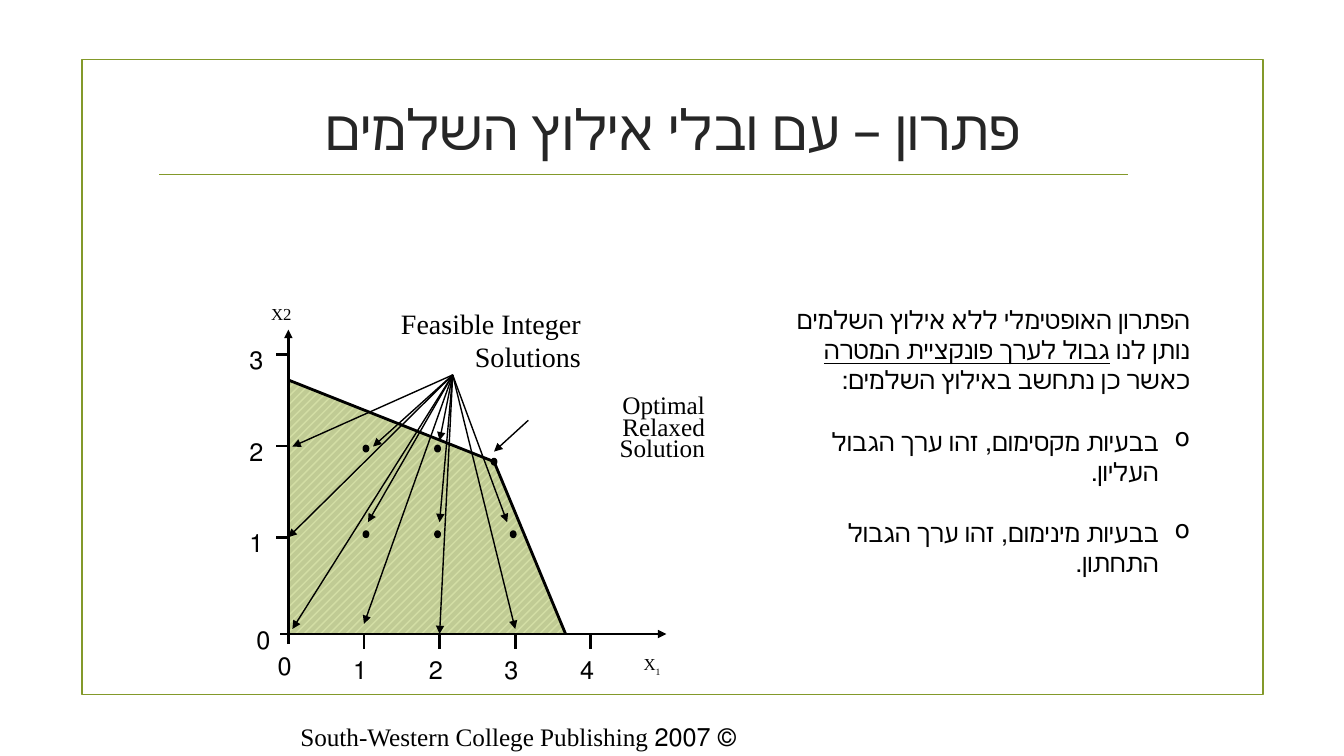
from lxml import etree
from pptx import Presentation
from pptx.dml.color import RGBColor
from pptx.enum.dml import MSO_PATTERN
from pptx.enum.shapes import MSO_CONNECTOR, MSO_SHAPE
from pptx.enum.text import MSO_ANCHOR, PP_ALIGN
from pptx.oxml.ns import qn
from pptx.util import Inches, Pt

STRAIGHT = MSO_CONNECTOR.STRAIGHT
RECTANGLE, OVAL = MSO_SHAPE.RECTANGLE, MSO_SHAPE.OVAL
DOTTED = MSO_PATTERN.PERCENT_20
TOP, MIDDLE = MSO_ANCHOR.TOP, MSO_ANCHOR.MIDDLE
LEFT, CENTER, RIGHT = PP_ALIGN.LEFT, PP_ALIGN.CENTER, PP_ALIGN.RIGHT

FONT = "Times New Roman"
COLORS = {"ink": "000000", "title": "262626", "olive": "83992A", "lime": "A8BF4D"}


def color(name):
    return RGBColor.from_string(COLORS[name])


def add_text(page, box, paragraphs, size=18, ink="ink", align=RIGHT, anchor=TOP,
             rtl=True, spacing=None, gap=0, bullet_from=None, left_inset=0.1):
    frame = page.shapes.add_textbox(*map(Inches, box)).text_frame
    frame.word_wrap = True
    frame.vertical_anchor = anchor
    frame.margin_left = Inches(left_inset)
    for index, spans in enumerate(paragraphs):
        para = frame.paragraphs[0] if index == 0 else frame.add_paragraph()
        para.alignment = align
        if spacing:
            para.line_spacing = spacing
        if index:
            para.space_before = Pt(gap)
        props = para._p.get_or_add_pPr()
        if rtl:
            props.set("rtl", "1")
        if bullet_from is not None and index >= bullet_from:
            props.set("marL", str(Inches(0.31)))
            props.set("indent", str(-Inches(0.31)))
            etree.SubElement(props, qn("a:buChar")).set("char", "o")
        for text, style in spans:
            span = para.add_run()
            span.text = text
            span.font.name = FONT
            span.font.size = Pt(size)
            span.font.color.rgb = color(ink)
            if style == "underline":
                span.font.underline = True
            elif style == "subscript":
                span._r.get_or_add_rPr().set("baseline", "-25000")


def add_line(page, start, end, width=2, ink="ink", arrow=False):
    line = page.shapes.add_connector(STRAIGHT, *map(Inches, (*start, *end)))
    line.line.color.rgb = color(ink)
    line.line.width = Pt(width)
    props = line._element.spPr
    if arrow:
        etree.SubElement(props.find(qn("a:ln")), qn("a:tailEnd")).set("type", "triangle")
    etree.SubElement(props, qn("a:effectLst"))


def add_dot(page, center):
    width, height = 0.04, 0.05
    box = (center[0] - width / 2, center[1] - height / 2, width, height)
    dot = page.shapes.add_shape(OVAL, *map(Inches, box))
    dot.shadow.inherit = False
    dot.fill.solid()
    dot.fill.fore_color.rgb = color("ink")
    dot.line.color.rgb = color("ink")
    dot.line.width = Pt(2)


def add_frame(page, box):
    left, top, width, height = box
    frame = page.shapes.add_shape(RECTANGLE, *map(Inches, box))
    frame.shadow.inherit = False
    frame.fill.background()
    frame.line.color.rgb = color("olive")
    frame.line.width = Pt(1.25)
    rule = top + 1.14
    add_line(page, (left + 0.77, rule), (left + 10.38, rule), 1.25, "olive")
    add_text(page, (left + 0.91, top - 0.03, 9.91, 1.43),
             [[("פתרון – עם ובלי אילוץ השלמים", None)]],
             size=40, ink="title", align=CENTER, anchor=MIDDLE)
    add_text(page, (left + 2.07, top + height + 0.26, 5.58, 0.31),
             [[("© 2007 South-Western College Publishing", None)]],
             align=LEFT, anchor=MIDDLE)


def add_region(page, points):
    builder = page.shapes.build_freeform(*map(Inches, points[0]), scale=1.0)
    builder.add_line_segments([tuple(map(Inches, point)) for point in points[1:]], close=True)
    region = builder.convert_to_shape()
    region.shadow.inherit = False
    region.line.fill.background()
    region.fill.patterned()
    region.fill.pattern = DOTTED
    region.fill.fore_color.rgb = color("lime")
    region.fill.back_color.rgb = color("olive")
    for shade in region._element.spPr.find(qn("a:pattFill")).iter(qn("a:srgbClr")):
        etree.SubElement(shade, qn("a:alpha")).set("val", "50000")


def add_axes(page, box, at):
    left, top, width, height = box
    base = top + height
    add_line(page, at(0, -0.1), (left, top), arrow=True)
    add_line(page, at(-0.08, 0), (left + width, base), arrow=True)
    for value in range(5):
        x = left + 0.75 * value
        drop = 0.15 if value else 0.11
        if value:
            add_line(page, (x, base), (x, base + 0.15))
        add_text(page, (x - 0.08, base + drop, 0.21, 0.4), [[(str(value), None)]])
    for value in range(4):
        y = base - 0.905 * value - (0.055 if value else 0)
        shift = 0.36 if value else 0.29
        if value:
            add_line(page, (left - 0.12, y), (left, y))
        add_text(page, (left - shift, y - 0.15, 0.21, 0.4), [[(str(value), None)]])
    add_text(page, (left + width - 0.38, base + 0.15, 0.42, 0.3),
             [[("X", None), ("1", "subscript")]], size=12)
    add_text(page, (left - 0.29, top - 0.31, 0.42, 0.3), [[("X2", None)]], size=12)


def add_graph(page, box):
    left, top, width, height = box

    def at(right, up):
        return left + right, top + height - up

    peak, optimum, corner = at(0, 2.52), at(2.04, 1.71), at(2.75, 0)
    add_region(page, [at(0, 0), corner, optimum, peak])
    add_axes(page, box, at)
    add_line(page, peak, optimum)
    add_line(page, optimum, corner)
    for right, up in [(0.77, 1.84), (1.48, 1.84), (0.77, 0.99), (1.48, 0.99), (2.23, 0.99)]:
        add_dot(page, at(right, up))
    add_text(page, (left + 0.75, top - 0.28, 2.25, 0.77),
             [[("Feasible Integer Solutions", None)]], size=20)
    targets = [(0.04, 1.86), (0, 0.96), (0.84, 1.86), (1.5, 1.92), (0.79, 1.11), (0.04, 0.05),
               (0.75, 0.1), (1.5, 1.11), (2.17, 1.11), (2.25, 0.05), (1.5, 0)]
    for target in targets:
        add_line(page, at(1.63, 2.57), at(*target), 1, arrow=True)
    add_line(page, at(2.38, 2.12), at(2.04, 1.81), 1, arrow=True)
    add_text(page, (left + 2.33, top + 0.63, 1.9, 0.53),
             [[("Optimal Relaxed Solution", None)]], spacing=0.7, left_inset=0.4)
    add_dot(page, optimum)


def add_explanation(page, box):
    add_text(page, box, [
        [("הפתרון האופטימלי ללא אילוץ השלמים נותן לנו ", None),
         ("גבול לערך פונקציית המטרה", "underline"),
         (" כאשר כן נתחשב באילוץ השלמים:", None)],
        [("בבעיות מקסימום, זהו ערך הגבול העליון.", None)],
        [("בבעיות מינימום, זהו ערך הגבול התחתון.", None)],
    ], gap=22, bullet_from=1)


def main():
    deck = Presentation()
    deck.slide_width, deck.slide_height = Inches(13.33), Inches(7.5)
    page = deck.slides.add_slide(deck.slide_layouts[6])
    add_frame(page, (0.81, 0.59, 11.72, 6.3))
    add_graph(page, (2.86, 3.27, 3.75, 3.02))
    add_explanation(page, (7.75, 2.97, 4.15, 2.83))
    deck.save("out.pptx")


if __name__ == "__main__":
    main()
